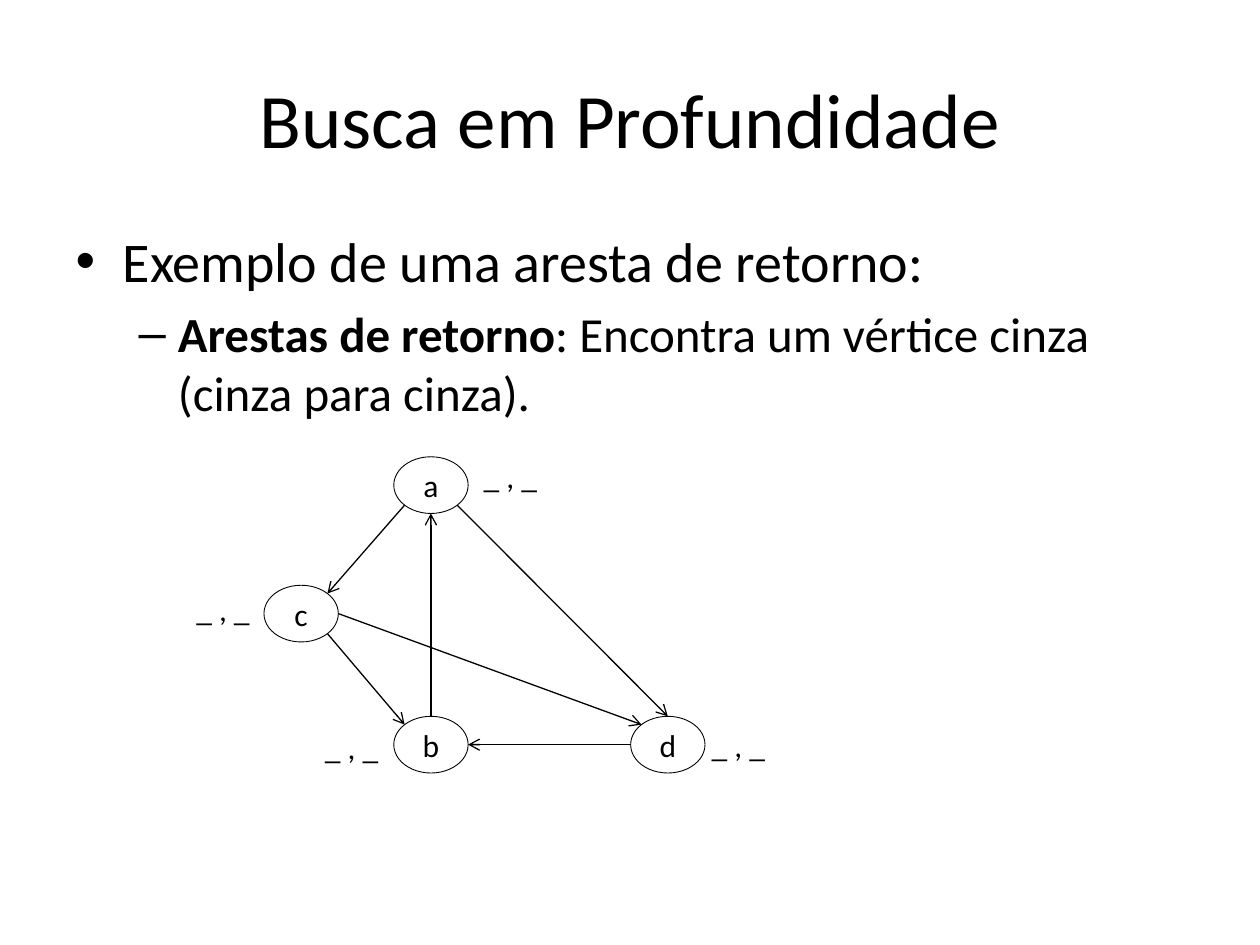
from dataclasses import dataclass
from math import hypot

from lxml.etree import SubElement
from pptx import Presentation
from pptx.dml.color import RGBColor
from pptx.enum.shapes import MSO_CONNECTOR, MSO_SHAPE
from pptx.enum.text import MSO_ANCHOR, MSO_AUTO_SIZE, PP_ALIGN
from pptx.oxml.ns import qn
from pptx.util import Inches, Pt


@dataclass(frozen=True)
class Theme:
    font: str = "Calibri"
    ink: RGBColor = RGBColor(0, 0, 0)
    paper: RGBColor = RGBColor(255, 255, 255)
    title: int = 44
    bullets: tuple = (32, 28)
    label: int = 18
    outline: float = 0.5
    edge: float = 0.75


THEME = Theme()
SLIDE_W, SLIDE_H = 10, 7.5
COLUMNS = (2.39, 3.42, 5.3)
ROWS = (3.85, 4.87, 5.91)
NODE_W, NODE_H = 0.59, 0.45
TIMES_W, TIMES_H = 0.63, 0.4

# vertex: (column, row), offset from its centre to the corner of its times
VERTICES = {
    "a": ((1, 0), (0.32, -0.27)),
    "c": ((0, 1), (-0.93, -0.24)),
    "b": ((1, 2), (-0.94, -0.18)),
    "d": ((2, 2), (0.25, -0.2)),
}

N, S, W, E = (0, -1), (0, 1), (-1, 0), (1, 0)
NW, NE, SW, SE = (-1, -1), (1, -1), (-1, 1), (1, 1)
EDGES = [
    ("b", N, "a", S),
    ("c", SE, "b", NW),
    ("a", SW, "c", NE),
    ("a", SE, "d", N),
    ("c", E, "d", NW),
    ("d", W, "b", E),
]


def style(p, size):
    p.font.name = THEME.font
    p.font.size = Pt(size)
    p.font.color.rgb = THEME.ink


def place(sp, left, top, width, height):
    """Place a shape by shares of the slide's size."""
    sp.left, sp.width = Inches(left * SLIDE_W), Inches(width * SLIDE_W)
    sp.top, sp.height = Inches(top * SLIDE_H), Inches(height * SLIDE_H)


def centre(name):
    column, row = VERTICES[name][0]
    return COLUMNS[column], ROWS[row]


def rim(name, direction):
    """Point on a vertex's ellipse in a compass direction."""
    x, y = centre(name)
    dx, dy = direction
    length = hypot(dx, dy)
    return Inches(x + dx / length * NODE_W / 2), Inches(y + dy / length * NODE_H / 2)


def add_title(s, text):
    sp = s.shapes.title
    place(sp, 0.05, 0.04, 0.9, 0.17)
    sp.text_frame.vertical_anchor = MSO_ANCHOR.MIDDLE
    p = sp.text_frame.paragraphs[0]
    p.text = text
    p.alignment = PP_ALIGN.CENTER
    style(p, THEME.title)


def add_bullets(s, items):
    """Fill the body; an item is a level and its (text, bold) runs."""
    sp = s.placeholders[1]
    place(sp, 0.05, 0.233, 0.9, 0.66)
    tf = sp.text_frame
    for i, (level, runs) in enumerate(items):
        p = tf.add_paragraph() if i else tf.paragraphs[0]
        p.level = level
        if not i:
            p.space_before = Pt(0)
        style(p, THEME.bullets[level])
        for text, bold in runs:
            r = p.add_run()
            r.text = text
            r.font.bold = bold


def add_vertex(s, name):
    x, y = centre(name)
    sp = s.shapes.add_shape(MSO_SHAPE.OVAL, Inches(x - NODE_W / 2), Inches(y - NODE_H / 2),
                            Inches(NODE_W), Inches(NODE_H))
    sp.shadow.inherit = False
    sp.fill.solid()
    sp.fill.fore_color.rgb = THEME.paper
    sp.line.color.rgb = THEME.ink
    sp.line.width = Pt(THEME.outline)
    sp.text_frame.vertical_anchor = MSO_ANCHOR.MIDDLE
    p = sp.text_frame.paragraphs[0]
    p.text = name
    p.alignment = PP_ALIGN.CENTER
    style(p, THEME.label)


def add_times(s, name):
    """Add the blank discovery and finishing times of a vertex."""
    x, y = centre(name)
    dx, dy = VERTICES[name][1]
    sp = s.shapes.add_textbox(Inches(x + dx), Inches(y + dy), Inches(TIMES_W), Inches(TIMES_H))
    tf = sp.text_frame
    tf.word_wrap = False
    tf.auto_size = MSO_AUTO_SIZE.SHAPE_TO_FIT_TEXT
    p = tf.paragraphs[0]
    p.text = "_ , _"
    style(p, THEME.label)


def add_edge(s, source, leaving, target, entering):
    line = s.shapes.add_connector(MSO_CONNECTOR.STRAIGHT, *rim(source, leaving),
                                  *rim(target, entering))
    line.line.color.rgb = THEME.ink
    line.line.width = Pt(THEME.edge)
    SubElement(line.line._get_or_add_ln(), qn("a:tailEnd"), type="arrow")
    SubElement(line._element.spPr, qn("a:effectLst"))


def main():
    prs = Presentation()
    prs.slide_width, prs.slide_height = Inches(SLIDE_W), Inches(SLIDE_H)
    s = prs.slides.add_slide(prs.slide_layouts[1])
    add_title(s, "Busca em Profundidade")
    add_bullets(s, [
        (0, [("Exemplo de uma aresta de retorno:", None)]),
        (1, [("Arestas de retorno", True),
             (": Encontra um vértice cinza (cinza para cinza).", None)]),
    ])
    for name in VERTICES:
        add_vertex(s, name)
        add_times(s, name)
    for edge in EDGES:
        add_edge(s, *edge)
    prs.save("out.pptx")


if __name__ == "__main__":
    main()
